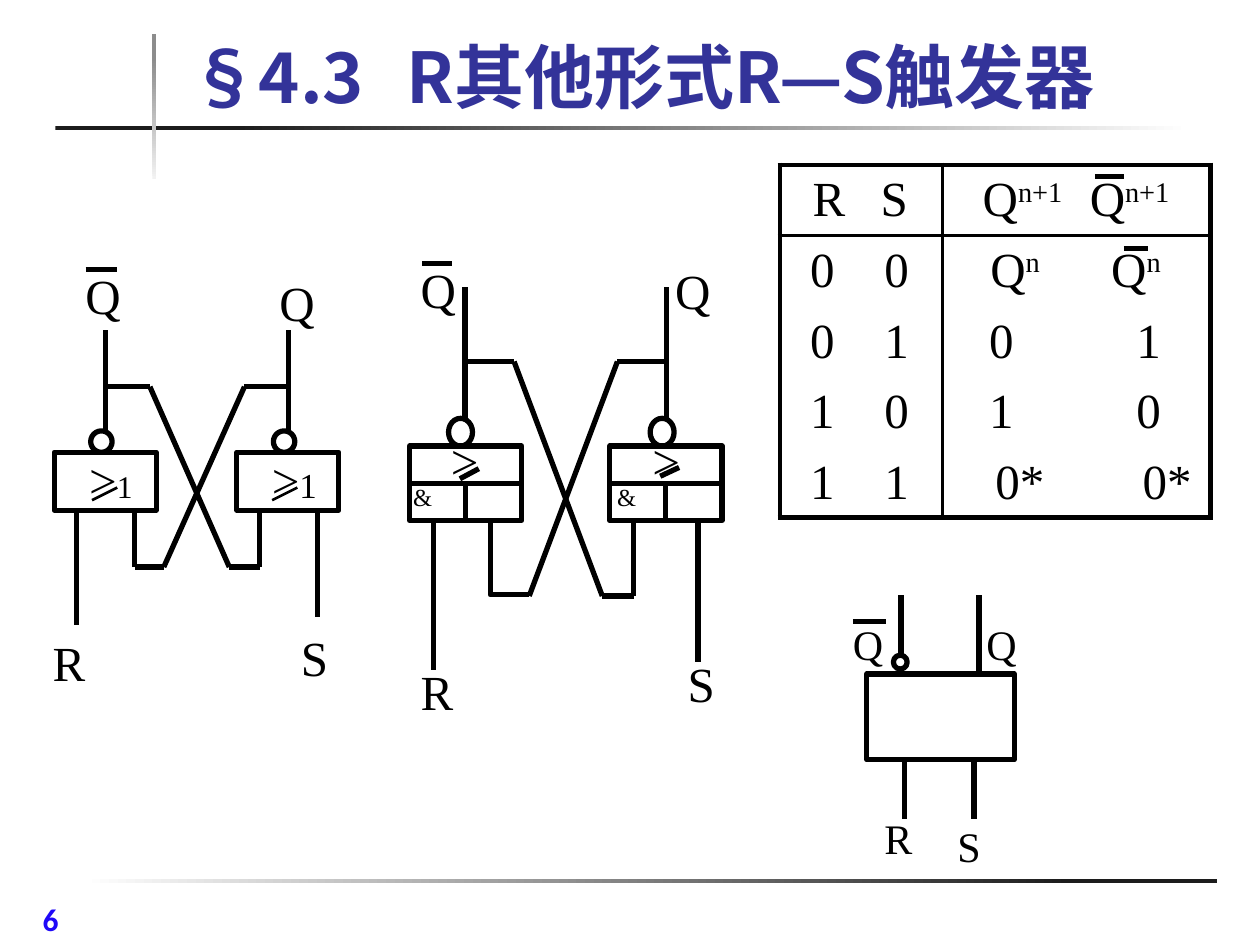
from dataclasses import dataclass
from lxml.etree import SubElement
from pptx import Presentation
from pptx.dml.color import RGBColor as RGB
from pptx.enum.shapes import MSO_CONNECTOR as CONN, MSO_SHAPE as SHAPE
from pptx.enum.text import MSO_ANCHOR as ANCHOR, PP_ALIGN as ALIGN
from pptx.oxml.ns import qn
from pptx.util import Inches, Pt


@dataclass
class Theme:
    ink: str = "000000"
    paper: str = "FFFFFF"
    title: str = "333399"
    number: str = "1F08F8"
    rule: str = "1C1C1C"
    bar_light: str = "F2F2F2"
    bar_dark: str = "8C8C8C"
    serif: str = "Times New Roman"
    sans: str = "Noto Sans CJK SC"
    number_font: str = "Calibri"
    title_size: int = 40
    label: int = 28
    symbol: int = 24
    gate_one: int = 20
    small: int = 18
    amp: int = 14
    thick: float = 3
    thin: float = 1.5


T = Theme()


def write(tf, text, size=T.label, color=T.ink, font=T.serif, bold=False, sup=False):
    r = tf.paragraphs[0].add_run()
    r.text = text
    f = r.font
    f.size, f.bold, f.name = Pt(size), bold, font
    f.color.rgb = RGB.from_string(color)
    rPr = r._r.get_or_add_rPr()
    SubElement(rPr, qn("a:ea"), typeface=font)
    if sup:
        rPr.set("baseline", "30000")


def line(x1, y1, x2, y2, width=T.thick):
    c = s.shapes.add_connector(CONN.STRAIGHT, *map(Inches, (x1, y1, x2, y2)))
    c.line.width = Pt(width)
    c.line.color.rgb = RGB.from_string(T.ink)
    SubElement(c._element.spPr, qn("a:effectLst"))
    return c


prs = Presentation()
prs.slide_width, prs.slide_height = Inches(10), Inches(7.5)
s = prs.slides.add_slide(prs.slide_layouts[5])

rules = [
    ((0.66, 6.98, 9, 0.03), 0, (0, T.paper), (0.87, T.rule)),
    ((0.44, 1, 9, 0.03), 0, (0.16, T.rule), (1, T.paper)),
    ((1.21, 0.27, 0.03, 1.15), 90, (0, T.bar_light), (0.83, T.bar_dark)),
]
for box, angle, *stops in rules:
    sp = s.shapes.add_shape(SHAPE.RECTANGLE, *map(Inches, box))
    sp.shadow.inherit = False
    sp.line.fill.background()
    sp.fill.gradient()
    sp.fill.gradient_angle = angle
    for stop, (position, color) in zip(sp.fill.gradient_stops, stops):
        stop.position = position
        stop.color.rgb = RGB.from_string(color)

title = s.shapes.title
title.left, title.top, title.width, title.height = map(Inches, (1.4, 0.34, 8.6, 0.64))
tf = title.text_frame
tf.vertical_anchor = ANCHOR.BOTTOM
p = tf.paragraphs[0]
p.alignment = ALIGN.LEFT
tabs = SubElement(p._p.get_or_add_pPr(), qn("a:tabLst"))
SubElement(tabs, qn("a:tab"), pos=str(Inches(1.73)), algn="l")
write(tf, "§4.3\tR其他形式R—S触发器", T.title_size, T.title, T.sans, True)

boxes = [(x, 3.59, 0.81, 0.46) for x in (0.43, 1.88)]
boxes += [(x, 3.54, 0.89, 0.59) for x in (3.25, 4.84)]
boxes.append((6.88, 5.35, 1.17, 0.68))
bubbles = [(x, 3.42, 0.17, 0.17) for x in (0.72, 2.17)]
bubbles += [(x, 3.32, 0.19, 0.22) for x in (3.56, 5.16)]
bubbles.append((7.09, 5.2, 0.11, 0.11))
outlines = []
for kind, places in ((SHAPE.RECTANGLE, boxes), (SHAPE.OVAL, bubbles)):
    for place in places:
        sp = s.shapes.add_shape(kind, *map(Inches, place))
        sp.shadow.inherit = False
        sp.fill.background()
        sp.line.width = Pt(T.thick)
        sp.line.color.rgb = RGB.from_string(T.ink)
        outlines.append(sp)

wires = [
    [(0.84, 3.42), (0.84, 2.62)],
    [(0.61, 4.05), (0.61, 4.96)],
    [(0.84, 3.07), (1.19, 3.07), (1.82, 4.5), (2.06, 4.5), (2.06, 4.05)],
    [(2.29, 3.42), (2.29, 2.62)],
    [(2.52, 4.05), (2.52, 4.9)],
    [(2.29, 3.07), (1.94, 3.07), (1.3, 4.5), (1.07, 4.5), (1.07, 4.05)],
    [(3.69, 3.32), (3.69, 2.28)],
    [(3.44, 4.14), (3.44, 5.32)],
    [(3.69, 2.87), (4.08, 2.87), (4.78, 4.73), (5.03, 4.73), (5.03, 4.14)],
    [(5.29, 3.32), (5.29, 2.28)],
    [(5.54, 4.14), (5.54, 5.25)],
    [(5.29, 2.87), (4.9, 2.87), (4.2, 4.73)],
    [(3.8, 3.72), (3.65, 3.8)],
    [(5.39, 3.71), (5.24, 3.78)],
    [(7.15, 5.2), (7.15, 4.72)],
    [(7.77, 5.33), (7.77, 4.72)],
    [(7.73, 6.02), (7.73, 6.5)],
    [(7.18, 6.02), (7.18, 6.5)],
]
for wire in wires:
    for start, end in zip(wire, wire[1:]):
        line(*start, *end)

for x in (0.73, 2.16):
    line(x + 0.2, 3.87, x, 3.97, T.thin)

for gate, (x, y, w, h) in zip(outlines[2:4], boxes[2:4]):
    divider = line(x, y + h / 2, x + w, y + h / 2)
    divider.begin_connect(gate, 1)
    divider.end_connect(gate, 3)
    line(x + w / 2, y + h / 2, x + w / 2, y + h).end_connect(gate, 2)

fb = s.shapes.build_freeform(Inches(3.89), Inches(4.13))
fb.add_line_segments([(Inches(3.89), Inches(4.72)), (Inches(4.2), Inches(4.72))], close=False)
feedback = fb.convert_to_shape()
feedback.shadow.inherit = False
feedback.fill.background()
feedback.line.width = Pt(T.thick)
feedback.line.color.rgb = RGB.from_string(T.ink)

labels = [
    (0.32, 4.97, [("R", T.label)]),
    (2.29, 4.93, [("S", T.label)]),
    (2.12, 2.11, [("Q", T.label)]),
    (0.58, 2.06, [("Q", T.label)]),
    (2.06, 3.52, [(">", T.label), ("1", T.gate_one)]),
    (0.61, 3.52, [(">", T.label), ("1", T.small)]),
    (3.24, 5.2, [("R", T.label)]),
    (5.36, 5.14, [("S", T.label)]),
    (5.26, 2.02, [("Q", T.label)]),
    (3.24, 2.01, [("Q", T.label)]),
    (3.48, 3.37, [(">", T.label)]),
    (5.08, 3.37, [(">", T.label)]),
    (3.18, 3.78, [("&", T.amp)]),
    (4.8, 3.78, [("&", T.amp)]),
    (7.73, 4.86, [("Q", T.symbol)]),
    (6.67, 4.86, [("Q", T.symbol)]),
    (7.5, 6.46, [("S", T.symbol)]),
    (6.92, 6.4, [("R", T.symbol)]),
]
heights = {T.label: 0.57, T.symbol: 0.5, T.amp: 0.33}
for x, y, runs in labels:
    width = 0.5 if len(runs) == 1 else 0.7
    tb = s.shapes.add_textbox(*map(Inches, (x, y, width, heights[runs[0][1]])))
    tb.text_frame.word_wrap = True
    for text, size in runs:
        write(tb.text_frame, text, size)

columns = [6.19, 6.84, 7.48, 8.55, 9.61]
rows = [
    [("R", "", 6.45), ("S", "", 6.99), ("Q", "n+1", 7.8), ("Q", "n+1", 8.65)],
    [("0", "", 6.43), ("0", "", 7.02), ("Q", "n", 7.86), ("Q", "n", 8.82)],
    [("0", "", 6.43), ("1", "", 7.02), ("0", "", 7.85), ("1", "", 9.02)],
    [("1", "", 6.43), ("0", "", 7.02), ("1", "", 7.85), ("0", "", 9.02)],
    [("1", "", 6.43), ("1", "", 7.02), ("0*", "", 7.9), ("0*", "", 9.07)],
]
frame = s.shapes.add_table(5, 4, *map(Inches, (6.19, 1.31, 3.42, 2.81)))
table = frame.table
table.first_row = table.horz_banding = False
for j, (left, right) in enumerate(zip(columns, columns[1:])):
    table.columns[j].width = Inches(right - left)
for i, row in enumerate(rows):
    table.rows[i].height = Inches(0.56)
    for j, (text, power, x) in enumerate(row):
        cell = table.cell(i, j)
        cell.margin_left = Inches(x - columns[j])
        cell.margin_right = cell.margin_top = cell.margin_bottom = 0
        cell.vertical_anchor = ANCHOR.MIDDLE
        write(cell.text_frame, text)
        if power:
            write(cell.text_frame, power, sup=True)
        edges = {
            "L": {0: T.thick, 2: T.thin}.get(j, 0),
            "R": {1: T.thin, 3: T.thick}.get(j, 0),
            "T": {0: T.thick, 1: T.thin}.get(i, 0),
            "B": {0: T.thin, 4: T.thick}.get(i, 0),
        }
        tcPr = cell._tc.get_or_add_tcPr()
        for side, width in edges.items():
            ln = SubElement(tcPr, qn("a:ln" + side), w=str(Pt(width)))
            fill = SubElement(ln, qn("a:solidFill" if width else "a:noFill"))
            if width:
                SubElement(fill, qn("a:srgbClr"), val=T.ink)
        cell.fill.background()

overbars = [(0.68, 0.93, 2.14), (3.35, 3.59, 2.09), (8.69, 8.92, 1.4), (8.92, 9.11, 1.97), (6.77, 7.03, 4.93)]
for left, right, y in overbars:
    line(left, y, right, y)

tb = s.shapes.add_textbox(*map(Inches, (0.24, 7.09, 0.99, 0.37)))
tb.text_frame.word_wrap = True
write(tb.text_frame, "6", T.small, T.number, T.number_font, True)

prs.save("out.pptx")
